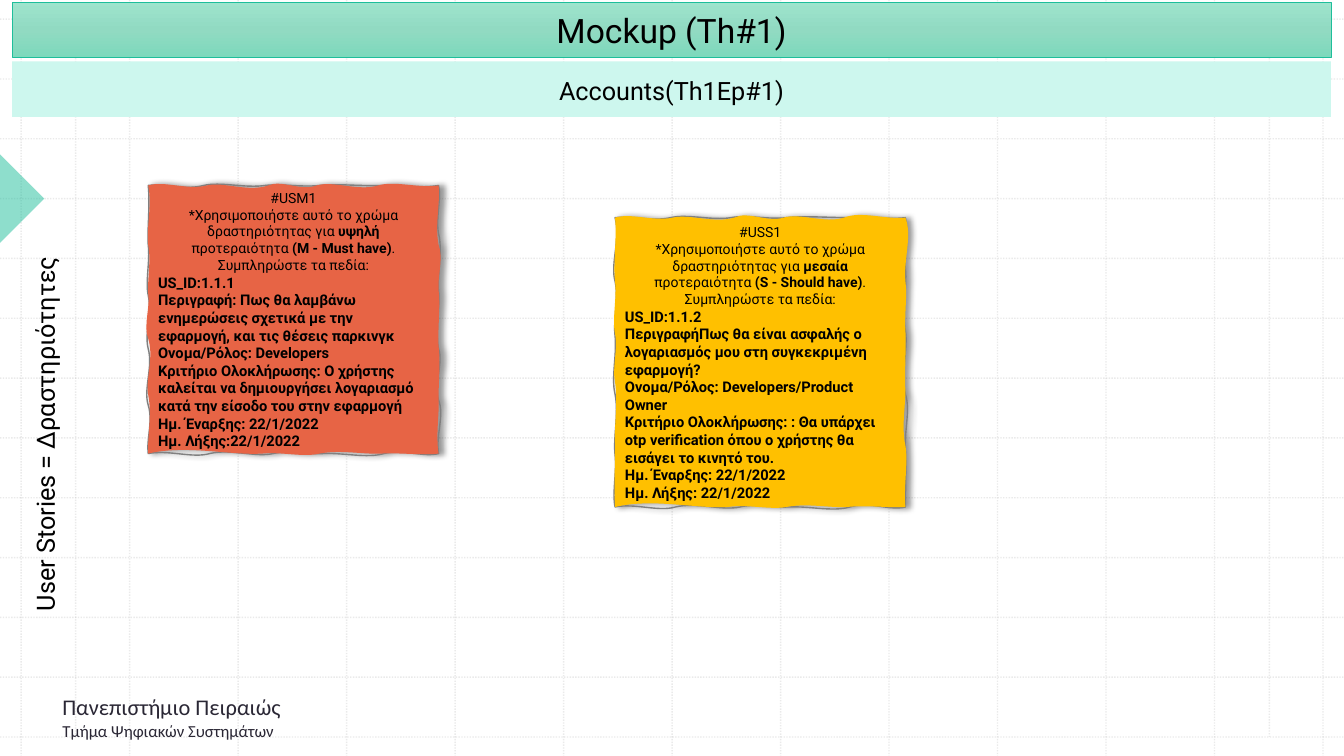
from copy import deepcopy
from dataclasses import dataclass

from pptx import Presentation
from pptx.dml.color import RGBColor
from pptx.enum.dml import MSO_LINE
from pptx.enum.shapes import MSO_CONNECTOR, MSO_SHAPE
from pptx.enum.text import MSO_ANCHOR, PP_ALIGN
from pptx.oxml.ns import qn
from pptx.util import Inches, Pt
from lxml import etree

STRAIGHT = MSO_CONNECTOR.STRAIGHT
RECTANGLE, TRIANGLE = MSO_SHAPE.RECTANGLE, MSO_SHAPE.RIGHT_TRIANGLE
MIDDLE, TOP = MSO_ANCHOR.MIDDLE, MSO_ANCHOR.TOP
CENTER, LEFT = PP_ALIGN.CENTER, PP_ALIGN.LEFT
DOTTED = MSO_LINE.ROUND_DOT
WIDTH, HEIGHT = 13.33, 7.5


@dataclass(frozen=True)
class Theme:
    font: str = "Roboto"
    footer_font: str = "Calibri"
    ink: str = "000000"
    footer_ink: str = "2A2735"
    grid: str = "BCBCBC"
    accent: str = "1EBE9B"
    epic: str = "CDF7EE"
    header: tuple = ("9EE4CD", "91DAC2", "7DD9BC")
    must: str = "E76445"
    should: str = "FFC000"
    note_line: str = "808080"
    shadow: str = "000000"
    header_size: float = 24
    epic_size: float = 18
    hint_size: float = 10
    story_size: float = 10.5
    footer_sizes: tuple = (16, 12)


THEME = Theme()

# Wavy sides (top, right, bottom, left): each wave is its end along the side
# and the sideways pull of its two control points, in inches
MUST_OUTLINE = (
    ((.55, -.02, .05), (1.16, -.04, .03), (1.7, -.02, .02), (2.34, -.02, .01), (2.88, 0, .03)),
    ((.48, .03, -.03), (1.04, .04, -.01), (1.62, .02, -.04), (2.13, .05, -.05), (2.66, .06, -.03)),
    ((2.34, .04, -.05), (1.73, .05, -.01), (1.24, .01, -.04), (.61, .04, -.05), (0, .05, -.04)),
    ((2.18, -.02, .05), (1.62, -.05, .05), (1.09, -.04, .04), (.59, -.03, .02), (0, -.01, .02)))
MUST_PAPER = (
    ((.58, -.05, .05), (1.19, -.04, .07), (1.67, -.06, .06), (2.28, -.05, .06), (2.88, -.05, .03)),
    ((.59, .02, -.04), (1.04, .05, -.01), (1.6, .02, -.01), (2.1, .02, 0), (2.66, .01, -.03)),
    ((2.31, .02, -.01), (1.7, .01, -.04), (1.13, .04, -.02), (0, .02, -.09)),
    ((2.08, -.01, .04), (1.52, -.03, .06), (1.07, -.05, .02), (.59, -.01, .03), (0, -.02, .04)))
SHOULD_OUTLINE = (
    ((.55, -.02, .04), (1.15, -.04, .03), (1.7, -.03, .02), (2.33, -.02, 0), (2.88, -.01, .02)),
    ((.51, .03, -.02), (1.12, .02, -.04), (1.75, .03, -.05), (2.29, .05, -.01), (2.87, .01, 0)),
    ((2.33, .04, -.06), (1.73, .05, -.01), (1.24, .01, -.04), (.6, .04, -.05), (0, .05, -.04)),
    ((2.35, -.03, .02), (1.75, -.02, .04), (1.17, -.04, .02), (.63, -.02, .04), (0, -.05, .06)))
SHOULD_PAPER = (
    ((.57, -.05, .04), (1.18, -.04, .06), (1.67, -.07, .05), (2.27, -.05, .06), (2.88, -.07, .02)),
    ((.63, .07, -.02), (1.12, .02, -.01), (1.72, .01, -.01), (2.26, 0, -.04), (2.87, .03, -.02)),
    ((2.3, .01, -.02), (1.7, .01, -.04), (1.12, .03, -.03), (0, .02, -.09)),
    ((2.24, -.01, 0), (1.63, -.01, .03), (1.15, -.03, .03), (.63, -.03, .02), (0, -.02, .02)))

MUST_STORY = (
    "US_ID:1.1.1",
    "Περιγραφή: Πως θα λαμβάνω ενημερώσεις σχετικά με την εφαρμογή, και τις θέσεις παρκινγκ",
    "Ονομα/Ρόλος: Developers",
    "Κριτήριο Ολοκλήρωσης: Ο χρήστης καλείται να δημιουργήσει λογαριασμό κατά την είσοδο του στην εφαρμογή",
    "Ημ. Έναρξης: 22/1/2022",
    "Ημ. Λήξης:22/1/2022")
SHOULD_STORY = (
    "US_ID:1.1.2",
    "ΠεριγραφήΠως θα είναι ασφαλής ο λογαριασμός μου στη συγκεκριμένη εφαρμογή?",
    "Ονομα/Ρόλος: Developers/Product Owner",
    "Κριτήριο Ολοκλήρωσης: : Θα υπάρχει otp verification όπου ο χρήστης θα εισάγει το κινητό του.",
    "Ημ. Έναρξης: 22/1/2022",
    "Ημ. Λήξης: 22/1/2022")


def rgb(color):
    return RGBColor.from_string(color)


def paint(shape, color):
    shape.shadow.inherit = False
    shape.fill.solid()
    shape.fill.fore_color.rgb = rgb(color)
    shape.line.fill.background()


def outline(line, color, points):
    line.color.rgb = rgb(color)
    line.width = Pt(points)


def add_alpha(parent, percent):
    color = next(parent.iter(qn("a:srgbClr")))
    etree.SubElement(color, qn("a:alpha")).set("val", str(percent * 1000))


def write(frame, lines, anchor=MIDDLE):
    """Each line is (text, size, font, color, bold, align); ** toggles bold."""
    frame.word_wrap = True
    frame.vertical_anchor = anchor
    for i, (text, size, font, color, bold, align) in enumerate(lines):
        paragraph = frame.paragraphs[0] if i == 0 else frame.add_paragraph()
        paragraph.alignment = align
        paragraph.font.size, paragraph.font.name = Pt(size), font
        paragraph.font.color.rgb = rgb(color)
        paragraph.font.bold = bold
        for j, part in enumerate(text.split("**")):
            run = paragraph.add_run()
            run.text = part
            if j % 2:
                run.font.bold = True


def label(frame, text, size):
    write(frame, [(text, size, THEME.font, THEME.ink, False, CENTER)])


def spaced_label(frame, text):
    label(frame, text, THEME.epic_size)
    frame.paragraphs[0].line_spacing = 1.07
    frame.paragraphs[0].space_after = Pt(8)


def add_grid(slide):
    columns = [(.21 + i * 1.076, 0, .21 + i * 1.076, HEIGHT) for i in range(13)]
    rows = [(0, .19 + i * .5935, WIDTH, .19 + i * .5935) for i in range(13)]
    margins = [(x, .19, x, 7.31) for x in (.75, 12.59)]
    for ends in columns + rows + margins:
        rule = slide.shapes.add_connector(STRAIGHT, *map(Inches, ends))
        outline(rule.line, THEME.grid, 1)
        rule.line.dash_style = DOTTED
        properties = rule._element.spPr
        add_alpha(properties, 30)
        etree.SubElement(properties, qn("a:effectLst"))


def add_marker(slide, box):
    marker = slide.shapes.add_shape(TRIANGLE, *map(Inches, box))
    paint(marker, THEME.accent)
    add_alpha(marker._element.spPr, 50)
    marker.rotation = 225


def add_epic(slide, box):
    epic = slide.shapes.add_shape(RECTANGLE, *map(Inches, box))
    paint(epic, THEME.epic)
    spaced_label(epic.text_frame, "Accounts(Th1Ep#1)")


def add_header(slide, box):
    header = slide.shapes.add_shape(RECTANGLE, *map(Inches, box))
    header.shadow.inherit = False
    header.fill.gradient()
    header.fill.gradient_angle = 270
    stops = next(header._element.spPr.iter(qn("a:gsLst")))
    stops.insert(1, deepcopy(stops[0]))
    for i, (stop, color) in enumerate(zip(header.fill.gradient_stops, THEME.header)):
        stop.color.rgb, stop.position = rgb(color), i / 2
    outline(header.line, THEME.accent, .5)
    label(header.text_frame, "Mockup (Th#1)", THEME.header_size)


def add_curves(path_list, size, sides, **paint_rule):
    """Add one closed path of Bézier waves around a box of the given size."""
    width, height = size
    contour = etree.SubElement(path_list, qn("a:path"), w=str(Inches(width)),
                               h=str(Inches(height)), **paint_rule)

    def add_point(parent, x, y):
        etree.SubElement(parent, qn("a:pt"), x=str(Inches(x)), y=str(Inches(y)))

    add_point(etree.SubElement(contour, qn("a:moveTo")), 0, 0)
    for side, waves in enumerate(sides):
        across, start = (0, width, height, 0)[side], (0, 0, width, height)[side]
        for end, pull1, pull2 in waves:
            curve = etree.SubElement(contour, qn("a:cubicBezTo"))
            for ratio, pull in ((.28, pull1), (.67, pull2), (1, 0)):
                along, offset = start + (end - start) * ratio, across + pull
                add_point(curve, *((offset, along) if side % 2 else (along, offset)))
            start = end
    etree.SubElement(contour, qn("a:close"))


def add_note(slide, box, edge, paper, color, code, priority, story):
    left, top, width, height = box
    # Sketched edge behind wavy paper
    builder = slide.shapes.build_freeform(Inches(left), Inches(top))
    corners = ((left + width, top), (left + width, top + height), (left, top + height))
    builder.add_line_segments([(Inches(x), Inches(y)) for x, y in corners])
    note = builder.convert_to_shape()
    path_list = next(note._element.spPr.iter(qn("a:pathLst")))
    path_list.remove(path_list[0])
    add_curves(path_list, (width, height), edge, fill="none")
    add_curves(path_list, (width, height), paper, stroke="0")
    paint(note, color)
    outline(note.line, THEME.note_line, 1)
    # Shadow to the right
    shadow = etree.SubElement(note._element.spPr.find(qn("a:effectLst")), qn("a:outerShdw"),
                              blurRad=str(Pt(4)), dist=str(Pt(3)), dir="0", algn="l", rotWithShape="0")
    etree.SubElement(shadow, qn("a:srgbClr"), val=THEME.shadow)
    add_alpha(shadow, 40)
    # Hint and story fields
    level, rank = priority
    hint = (f"*Χρησιμοποιήστε αυτό το χρώμα δραστηριότητας για **{level}** προτεραιότητα "
            f"**({rank})**. Συμπληρώστε τα πεδία:")
    hints = [(text, THEME.hint_size, THEME.font, THEME.ink, False, CENTER) for text in (code, hint)]
    fields = [(text, THEME.story_size, THEME.font, THEME.ink, True, LEFT) for text in story]
    write(note.text_frame, hints + fields)


def add_side_title(slide, box):
    title = slide.shapes.add_textbox(*map(Inches, box)).text_frame
    spaced_label(title, "User Stories = Δραστηριότητες")
    title._txBody.bodyPr.set("vert", "vert270")


def add_footer(slide, box):
    footer = slide.shapes.add_textbox(*map(Inches, box)).text_frame
    names = ("Πανεπιστήμιο Πειραιώς", "Τμήμα Ψηφιακών Συστημάτων")
    write(footer, [(name, size, THEME.footer_font, THEME.footer_ink, False, LEFT)
                   for name, size in zip(names, THEME.footer_sizes)], TOP)


def main():
    deck = Presentation()
    deck.slide_width, deck.slide_height = Inches(WIDTH), Inches(HEIGHT)
    slide = deck.slides.add_slide(deck.slide_layouts[6])
    add_grid(slide)
    add_marker(slide, (-.31, 1.66, .62, .62))
    add_epic(slide, (.12, .61, 13.08, .55))
    add_note(slide, (1.47, 1.84, 2.88, 2.66), MUST_OUTLINE, MUST_PAPER, THEME.must,
             "#USM1", ("υψηλή", "M - Must have"), MUST_STORY)
    add_note(slide, (6.1, 2.16, 2.88, 2.87), SHOULD_OUTLINE, SHOULD_PAPER, THEME.should,
             "#USS1", ("μεσαία", "S - Should have"), SHOULD_STORY)
    add_side_title(slide, (.12, 1.24, .63, 6.13))
    add_header(slide, (.12, .02, 13.08, .55))
    add_footer(slide, (.52, 6.83, 2.98, .63))
    deck.save("out.pptx")


if __name__ == "__main__":
    main()
